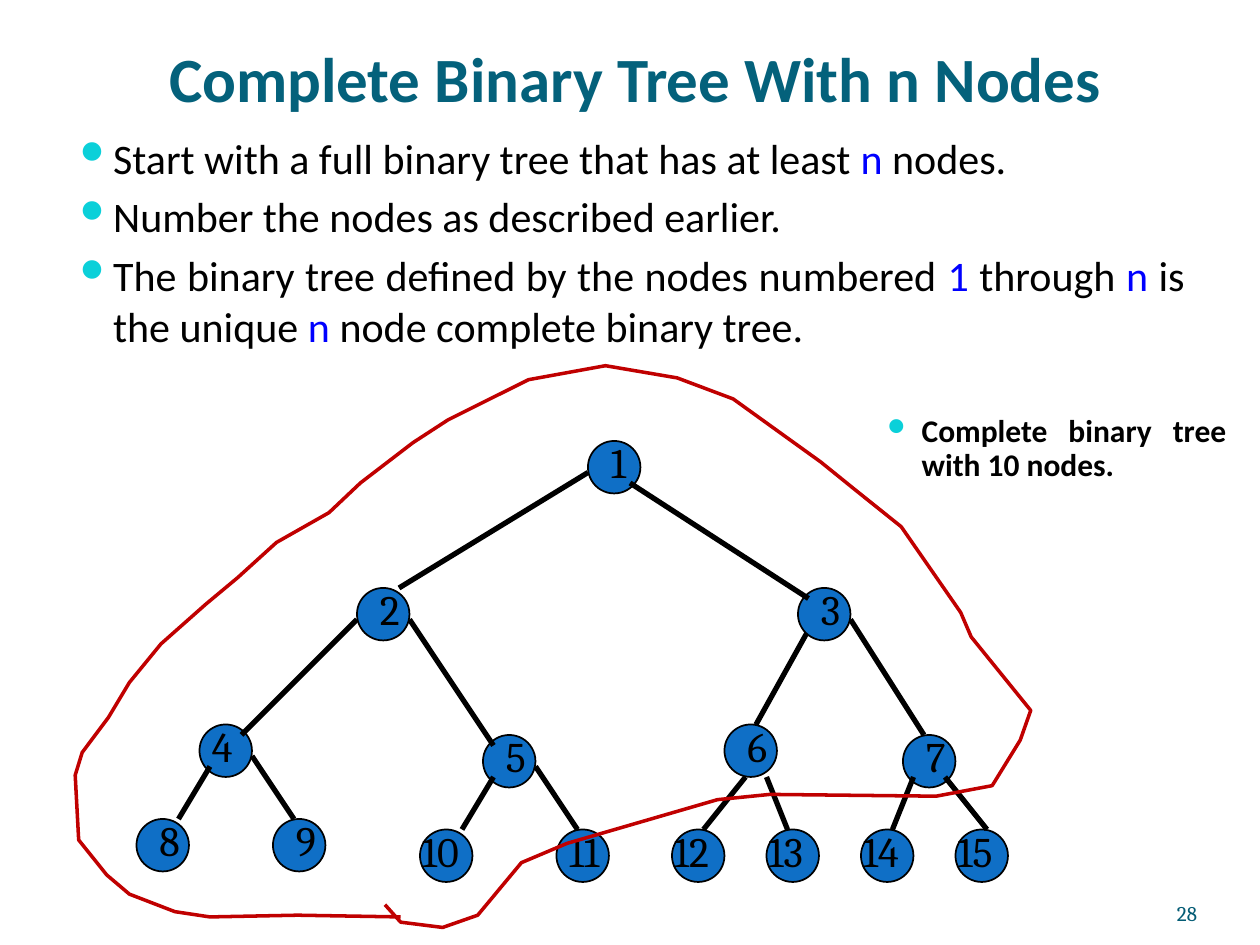
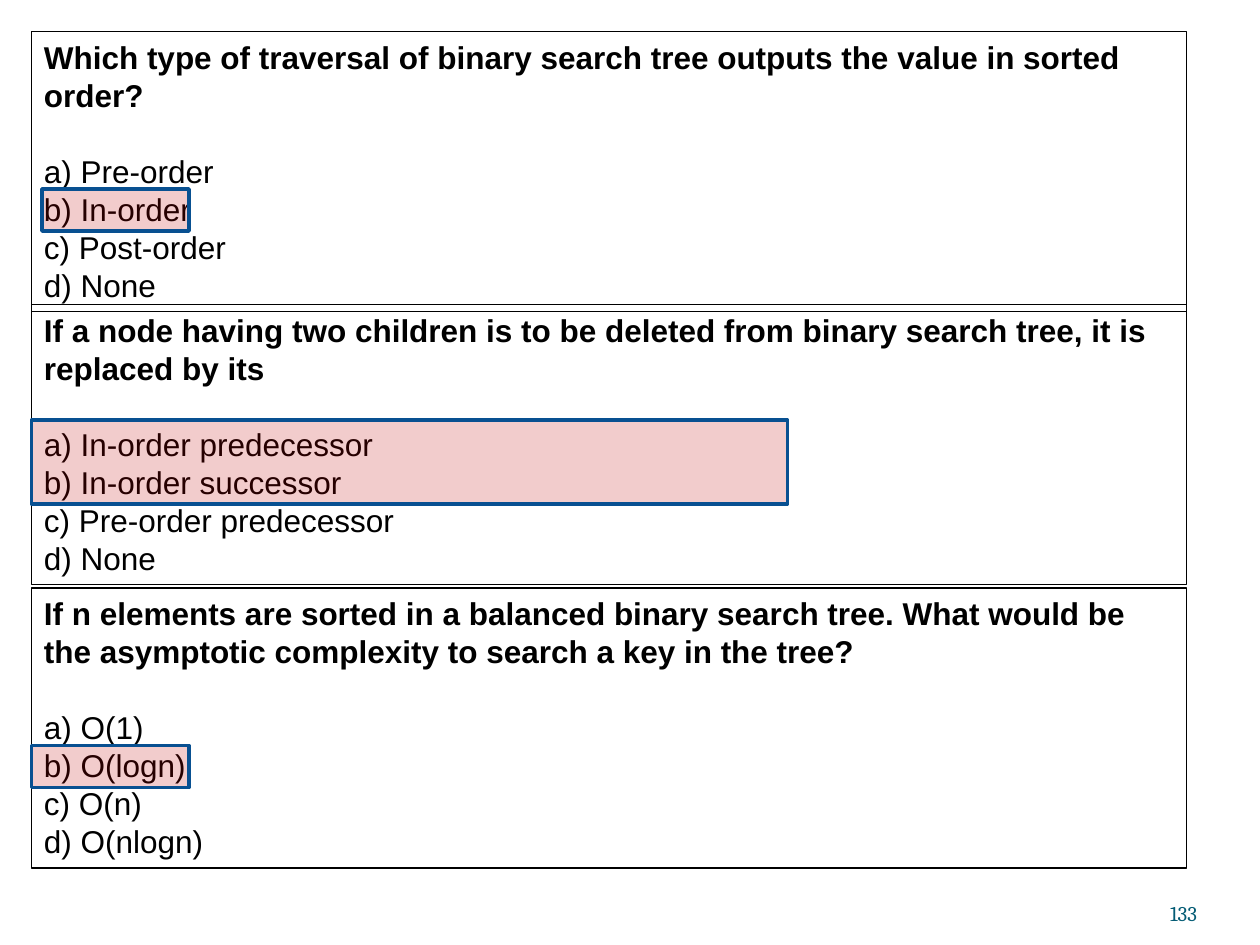
import dataclasses

import lxml.etree
import pptx
import pptx.dml.color
import pptx.enum.shapes
import pptx.enum.text
import pptx.oxml.ns
import pptx.util

Pt = pptx.util.Pt
qn = pptx.oxml.ns.qn
ALIGN = pptx.enum.text.PP_ALIGN
ANCHOR = pptx.enum.text.MSO_ANCHOR
SHAPE = pptx.enum.shapes.MSO_SHAPE


@dataclasses.dataclass(frozen=True)
class Theme:
    text: str = "000000"
    title: str = "04617B"
    number: str = "045C75"
    bullet: str = "0BD0D9"
    variable: str = "0000FF"
    node: str = "0F6FC6"
    mark: str = "C00000"
    mark_line: str = "085091"
    head_font: str = "Calibri"
    quiz_font: str = "Arial"
    label_font: str = "Cambria"
    title_size: int = 36
    body_size: int = 24
    small_size: int = 18
    number_size: int = 12


THEME = Theme()
INSETS = (7.2, 3.6, 7.2, 3.6)
NODE_SIZE = 30
STEP = 6
QUIZ_LEADING = 21.7

LEVELS = [
    (252, [336]),
    (336, [204, 456]),
    (414, [114, 276, 414, 516]),
    (468, [78, 156, 240, 318, *range(384, 547, 54)]),
]
LOWERED = {5, 7, *range(10, 16)}
CENTERED_LABELS = {4, 11}
EDGE_STARTS = {2: (0, 3), 3: (4, 4), 4: (0, 3), 12: (2, 5), 13: (4, 5),
               15: (4, 4)}
EDGE_ENDS = {3: (1, 1), 4: (4, 1), 5: (1, 1),
             **dict.fromkeys((6, 12, 14, 15), (3, 0))}

LOOP = [
    (220, 517), (229, 527), (253, 530), (273, 523), (298, 493), (324, 482),
    (410, 457), (440, 454), (535, 455), (567, 449), (583, 423), (589, 406),
    (555, 364), (549, 350), (515, 301), (490, 281), (469, 264), (419, 228),
    (387, 216), (346, 209), (302, 217), (256, 240), (236, 253), (206, 276),
    (188, 293), (158, 310), (136, 330), (118, 345), (92, 368), (74, 390),
    (62, 410), (47, 430), (43, 443), (45, 480), (61, 500), (74, 511),
    (100, 521), (120, 524), (170, 523), (229, 524),
]

BULLETS = [
    [("Start with a full binary tree that has at least ", False),
     ("n", True), (" nodes.", False)],
    [("Number the nodes as described earlier.", False)],
    [("The binary tree defined by the nodes numbered ", False),
     ("1", True), (" through ", False), ("n", True),
     (" is the unique ", False), ("n", True),
     (" node complete binary tree.", False)],
]

QUIZ = [
    (18, "Which type of traversal of binary search tree outputs the value "
         "in sorted order?",
     ["a) Pre-order", "b) In-order", "c) Post-order", "d) None"]),
    (174, "If a node having two children is to be deleted from binary search "
          "tree, it is replaced by its",
     ["a) In-order predecessor", "b) In-order successor",
      "c) Pre-order predecessor", "d) None"]),
    (336, "If n elements are sorted in a balanced binary search tree. What "
          "would be the asymptotic complexity to search a key in the tree?",
     ["a) O(1)", "b) O(logn)", "c) O(n)", "d) O(nlogn)"]),
]
ANSWERS = [(24, 108, 84, 24), (18, 240, 432, 48), (18, 426, 90, 24)]


def rgb(color):
    return pptx.dml.color.RGBColor.from_string(color)


def add_run(p, text, size, font, color=THEME.text, bold=False):
    r = p.add_run()
    r.text = text
    r.font.size = Pt(size)
    r.font.name = font
    r.font.bold = bold
    r.font.color.rgb = rgb(color)


def set_frame(tf, insets=INSETS, anchor=ANCHOR.TOP):
    tf.word_wrap = True
    tf.vertical_anchor = anchor
    tf.margin_left, tf.margin_top, tf.margin_right, tf.margin_bottom = map(
        Pt, insets)


def add_text(s, box, insets=INSETS, anchor=ANCHOR.TOP):
    tf = s.shapes.add_textbox(*map(Pt, box)).text_frame
    set_frame(tf, insets, anchor)
    return tf


def style_shape(sp, line, width, fill=None):
    sp.shadow.inherit = False
    if fill:
        sp.fill.solid()
        sp.fill.fore_color.rgb = rgb(fill)
    else:
        sp.fill.background()
    sp.line.color.rgb = rgb(line)
    sp.line.width = Pt(width)


def add_shape(s, kind, box, line, width, fill=None):
    sp = s.shapes.add_shape(kind, *map(Pt, box))
    style_shape(sp, line, width, fill)
    return sp


def set_bullet(p):
    p.alignment = ALIGN.JUSTIFY
    pPr = p._p.get_or_add_pPr()
    pPr.set("marL", str(Pt(21.6)))
    pPr.set("indent", str(-Pt(21.6)))
    clr = lxml.etree.SubElement(pPr, qn("a:buClr"))
    lxml.etree.SubElement(clr, qn("a:srgbClr"), val=THEME.bullet)
    lxml.etree.SubElement(pPr, qn("a:buSzPct"), val="95000")
    lxml.etree.SubElement(pPr, qn("a:buChar"), char="⚫")


def add_title(s, text):
    tf = add_text(s, (24, 18, 678, 48), (0, 3.6, 0, 0), ANCHOR.BOTTOM)
    p = tf.paragraphs[0]
    p.alignment = ALIGN.CENTER
    add_run(p, text, THEME.title_size, THEME.head_font, THEME.title, True)


def add_number(s, number):
    tf = add_text(s, (624, 500.4, 60, 28.8), (0, 0, 0, 0), ANCHOR.BOTTOM)
    p = tf.paragraphs[0]
    p.alignment = ALIGN.RIGHT
    add_run(p, str(number), THEME.number_size, THEME.label_font, THEME.number)


def add_bullets(s):
    tf = add_text(s, (36, 72, 648, 138))
    for i, runs in enumerate(BULLETS):
        p = tf.add_paragraph() if i else tf.paragraphs[0]
        if i:
            p.space_before = Pt(4.8)
        set_bullet(p)
        for text, is_variable in runs:
            color = THEME.variable if is_variable else THEME.text
            add_run(p, text, THEME.body_size, THEME.head_font, color)


def add_note(s, text):
    p = add_text(s, (498, 234, 210, 54)).paragraphs[0]
    p.line_spacing = 0.9
    set_bullet(p)
    add_run(p, text, THEME.small_size, THEME.head_font, bold=True)


def place_nodes():
    nodes = {}
    for top, lefts in LEVELS:
        for left in lefts:
            number = len(nodes) + 1
            nodes[number] = (left, top + STEP * (number in LOWERED))
    return nodes


def shifted(node, steps):
    return [Pt(a + STEP * b) for a, b in zip(node, steps)]


def add_edge(s, nodes, child):
    is_right = child % 2
    start = EDGE_STARTS.get(child, (5, 3) if is_right else (1, 4))
    end = EDGE_ENDS.get(child, (2, 0) if is_right else (4, 0))
    cxn = s.shapes.add_connector(
        pptx.enum.shapes.MSO_CONNECTOR.STRAIGHT,
        *shifted(nodes[child // 2], start), *shifted(nodes[child], end))
    cxn.line.color.rgb = rgb(THEME.text)
    cxn.line.width = Pt(3)
    lxml.etree.SubElement(cxn._element.spPr, qn("a:effectLst"))


def add_label(s, number, left, top):
    two_digits = number > 9
    if number not in CENTERED_LABELS:
        left += -STEP if two_digits else STEP
    tf = add_text(s, (left, top - STEP, 48 if two_digits else 24, 36))
    add_run(tf.paragraphs[0], str(number), THEME.body_size, THEME.label_font)


def add_tree(s):
    nodes = place_nodes()
    inner, upper, leaves = range(4, 8), range(1, 4), range(8, 16)
    for numbers, children in ((inner, inner), (upper, upper[1:]),
                              (leaves, leaves)):
        for number in numbers:
            add_shape(s, SHAPE.OVAL, (*nodes[number], NODE_SIZE, NODE_SIZE),
                      THEME.text, 1, THEME.node)
        for child in children:
            add_edge(s, nodes, child)
    for number, place in nodes.items():
        add_label(s, number, *place)


def add_loop(s):
    builder = s.shapes.build_freeform(*LOOP[0], scale=Pt(1))
    builder.add_line_segments(LOOP[1:], close=False)
    style_shape(builder.convert_to_shape(), THEME.mark, 2)


def add_question(s, top, question, options):
    sp = add_shape(s, SHAPE.RECTANGLE, (18, top, 660, 160), THEME.text, 0.75)
    tf = sp.text_frame
    set_frame(tf)
    for i, text in enumerate([question, *options]):
        p = tf.add_paragraph() if i else tf.paragraphs[0]
        p.alignment = ALIGN.LEFT
        p.line_spacing = Pt(QUIZ_LEADING)
        if i == 0:
            p.space_after = Pt(QUIZ_LEADING)
        add_run(p, text, THEME.small_size, THEME.quiz_font, bold=i == 0)


def add_answer(s, box):
    sp = add_shape(s, SHAPE.RECTANGLE, box, THEME.mark_line, 2, THEME.mark)
    clr = sp._element.spPr.find(qn("a:solidFill")).find(qn("a:srgbClr"))
    lxml.etree.SubElement(clr, qn("a:alpha"), val="20000")


def main():
    prs = pptx.Presentation()
    prs.slide_width, prs.slide_height = Pt(720), Pt(540)
    blank = prs.slide_layouts[6]

    s = prs.slides.add_slide(blank)
    add_title(s, "Complete Binary Tree With n Nodes")
    add_bullets(s)
    add_tree(s)
    add_note(s, "Complete binary tree with 10 nodes.")
    add_loop(s)
    add_number(s, 28)

    s = prs.slides.add_slide(blank)
    for top, question, options in QUIZ:
        add_question(s, top, question, options)
    for box in ANSWERS:
        add_answer(s, box)
    add_number(s, 133)

    prs.save("out.pptx")


if __name__ == "__main__":
    main()
